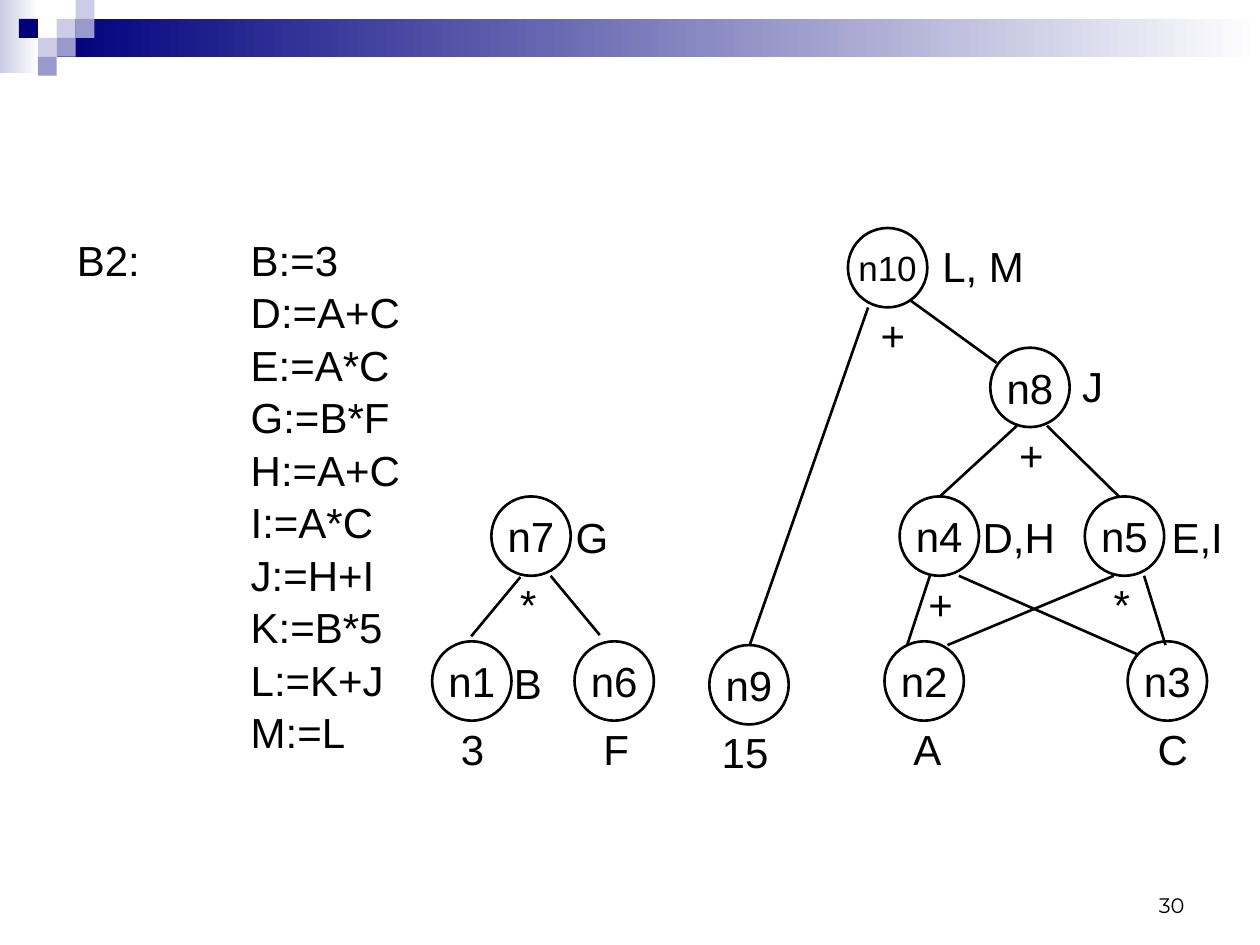
from lxml import etree
from pptx import Presentation
from pptx.dml.color import RGBColor
from pptx.enum.shapes import MSO_CONNECTOR, MSO_SHAPE
from pptx.enum.text import MSO_ANCHOR, MSO_AUTO_SIZE, PP_ALIGN
from pptx.oxml.ns import qn
from pptx.util import Inches, Pt

RECT, OVAL = MSO_SHAPE.RECTANGLE, MSO_SHAPE.OVAL
STRAIGHT = MSO_CONNECTOR.STRAIGHT
LEFT, CENTER, RIGHT = PP_ALIGN.LEFT, PP_ALIGN.CENTER, PP_ALIGN.RIGHT
TOP, MIDDLE, BOTTOM = MSO_ANCHOR.TOP, MSO_ANCHOR.MIDDLE, MSO_ANCHOR.BOTTOM
NO_FIT = MSO_AUTO_SIZE.NONE

COLORS = {"ink": "000000", "navy": "00007D", "mid": "9999CC",
          "pale": "CCCCE6", "white": "FFFFFF"}
TILE = 0.15
NODE = 0.63
LABEL_HEIGHT = 0.5

STATEMENTS = ["B:=3", "D:=A+C", "E:=A*C", "G:=B*F", "H:=A+C",
              "I:=A*C", "J:=H+I", "K:=B*5", "L:=K+J", "M:=L"]

# node: (x, y, label below, its x offset, label at right, its x and y offset)
NODES = {
    "n1": (0, 3.28, "3", 0.13, "B", 0.55, 0.08),
    "n2": (3.59, 3.28, "A", 0.13, "", 0, 0),
    "n3": (5.52, 3.28, "C", 0.14, "", 0, 0),
    "n4": (3.71, 2.13, "+", 0.13, "D,H", 0.56, 0.07),
    "n5": (5.18, 2.13, "*", 0.13, "E,I", 0.59, 0.07),
    "n6": (1.13, 3.28, "F", 0.13, "", 0, 0),
    "n7": (0.47, 2.13, "*", 0.13, "G", 0.57, 0.07),
    "n8": (4.43, 0.95, "+", 0.13, "J", 0.63, 0.05),
    "n9": (2.2, 3.31, "15", 0, "", 0, 0),
    "n10": (3.3, 0, "+", 0.16, "L, M", 0.65, 0.05),
}
LABEL_WIDTHS = {"3": 0.39, "A": 0.42, "B": 0.42, "C": 0.44, "F": 0.4,
                "G": 0.46, "J": 0.37, "+": 0.4, "*": 0.33, "15": 0.57,
                "D,H": 0.78, "E,I": 0.61, "L, M": 0.85}

# (parent, offset in parent, child, offset in child)
EDGES = [
    ("n4", (0.24, 0.63), "n2", (0.18, 0.03)),
    ("n4", (0.47, 0.63), "n3", (0.07, 0.1)),
    ("n5", (0.23, 0.63), "n2", (0.5, 0.03)),
    ("n5", (0.47, 0.63), "n3", (0.3, 0.03)),
    ("n7", (0.23, 0.64), "n1", (0.31, -0.04)),
    ("n7", (0.47, 0.63), "n6", (0.2, -0.05)),
    ("n8", (0.21, 0.62), "n4", (0.32, 0)),
    ("n8", (0.45, 0.62), "n5", (0.27, 0)),
    ("n10", (0.16, 0.63), "n9", (0.32, 0)),
    ("n10", (0.49, 0.57), "n8", (0.05, 0.12)),
]


def color(name):
    return RGBColor.from_string(COLORS[name])


def style(paragraph, size=24, font="Arial", align=LEFT):
    paragraph.alignment = align
    paragraph.font.size = Pt(size)
    paragraph.font.name = font
    paragraph.font.color.rgb = color("ink")


def add_label(slide, text, x, y, width, wrap=False, anchor=TOP, **look):
    label = slide.shapes.add_textbox(
        Inches(x), Inches(y), Inches(width), Inches(LABEL_HEIGHT))
    frame = label.text_frame
    frame.word_wrap = wrap
    frame.vertical_anchor = anchor
    frame.text = text
    style(frame.paragraphs[0], **look)


def add_block(slide, x, y, width, height, *shades):
    block = slide.shapes.add_shape(
        RECT, Inches(x), Inches(y), Inches(width), Inches(height))
    block.shadow.inherit = False
    block.line.fill.background()
    if len(shades) == 1:
        block.fill.solid()
        block.fill.fore_color.rgb = color(shades[0])
        return
    block.fill.gradient()
    block.fill.gradient_angle = 0
    for stop, shade, position in zip(block.fill.gradient_stops, shades, (0, 1)):
        stop.color.rgb = color(shade)
        stop.position = position


def add_banner(slide, x, y, width):
    add_block(slide, x, y, 0.31, 0.58, "pale", "white")
    add_block(slide, x + 3 * TILE, y + TILE, width - 3 * TILE, 2 * TILE,
              "navy", "white")
    tiles = [(3, 1, "pale"), (4, 0, "pale"), (4, 1, "mid"), (2, 2, "pale"),
             (1, 1, "navy"), (3, 2, "mid"), (2, 3, "mid")]
    for column, row, shade in tiles:
        add_block(slide, x + column * TILE, y + row * TILE, TILE, TILE, shade)


def fill_code(body, x, y, width, height):
    body.left, body.top = Inches(x), Inches(y)
    body.width, body.height = Inches(width), Inches(height)
    frame = body.text_frame
    frame.auto_size = NO_FIT
    frame.text = "\n".join(("" if i else "B2:") + "\t" + statement
                           for i, statement in enumerate(STATEMENTS))
    for line in frame.paragraphs:
        style(line)
        line.space_before = Pt(1.2)
        # The tab leads to the hanging indent
        properties = line._p.get_or_add_pPr()
        properties.set("marL", str(Inches(1.38)))
        properties.set("indent", str(-Inches(1.38)))
        etree.SubElement(properties, qn("a:buNone"))
        # Bullet settings precede the default run properties
        properties.append(properties.find(qn("a:defRPr")))


def add_node(slide, name, x, y):
    node = slide.shapes.add_shape(
        OVAL, Inches(x), Inches(y), Inches(NODE), Inches(NODE))
    node.shadow.inherit = False
    node.fill.background()
    node.line.color.rgb = color("ink")
    node.line.width = Pt(1.5)
    frame = node.text_frame
    frame.margin_left = frame.margin_right = 0
    frame.margin_top = frame.margin_bottom = Inches(0.04)
    frame.vertical_anchor = MIDDLE
    frame.word_wrap = len(name) < 3
    frame.text = name
    style(frame.paragraphs[0], 24 if len(name) < 3 else 20, align=CENTER)


def add_graph(slide, left, top):
    for name, (dx, dy, below, below_x, beside, beside_x, beside_y) in NODES.items():
        x, y = left + dx, top + dy
        add_node(slide, name, x, y)
        add_label(slide, below, x + below_x, y + 0.6, LABEL_WIDTHS[below])
        if beside:
            add_label(slide, beside, x + beside_x, y + beside_y,
                      LABEL_WIDTHS[beside])

    for parent, start, child, end in EDGES:
        points = [Inches(origin + place + offset)
                  for name, offsets in ((parent, start), (child, end))
                  for origin, place, offset in zip((left, top), NODES[name], offsets)]
        edge = slide.shapes.add_connector(STRAIGHT, *points)
        edge.line.color.rgb = color("ink")
        edge.line.width = Pt(1.5)
        etree.SubElement(edge._element.spPr, qn("a:effectLst"))


def main():
    deck = Presentation()
    deck.slide_width, deck.slide_height = Inches(10), Inches(7.5)
    slide = deck.slides.add_slide(deck.slide_layouts[1])
    heading, code = slide.placeholders
    heading.element.getparent().remove(heading.element)

    add_banner(slide, 0, 0, 10)
    fill_code(code, 0.51, 1.81, 3.4, 4.17)
    add_graph(slide, 3.43, 1.81)
    # Page number
    add_label(slide, "30", 7.17, 6.83, 2.33, wrap=True, anchor=BOTTOM,
              size=12, font="Montserrat", align=RIGHT)
    deck.save("out.pptx")


if __name__ == "__main__":
    main()
